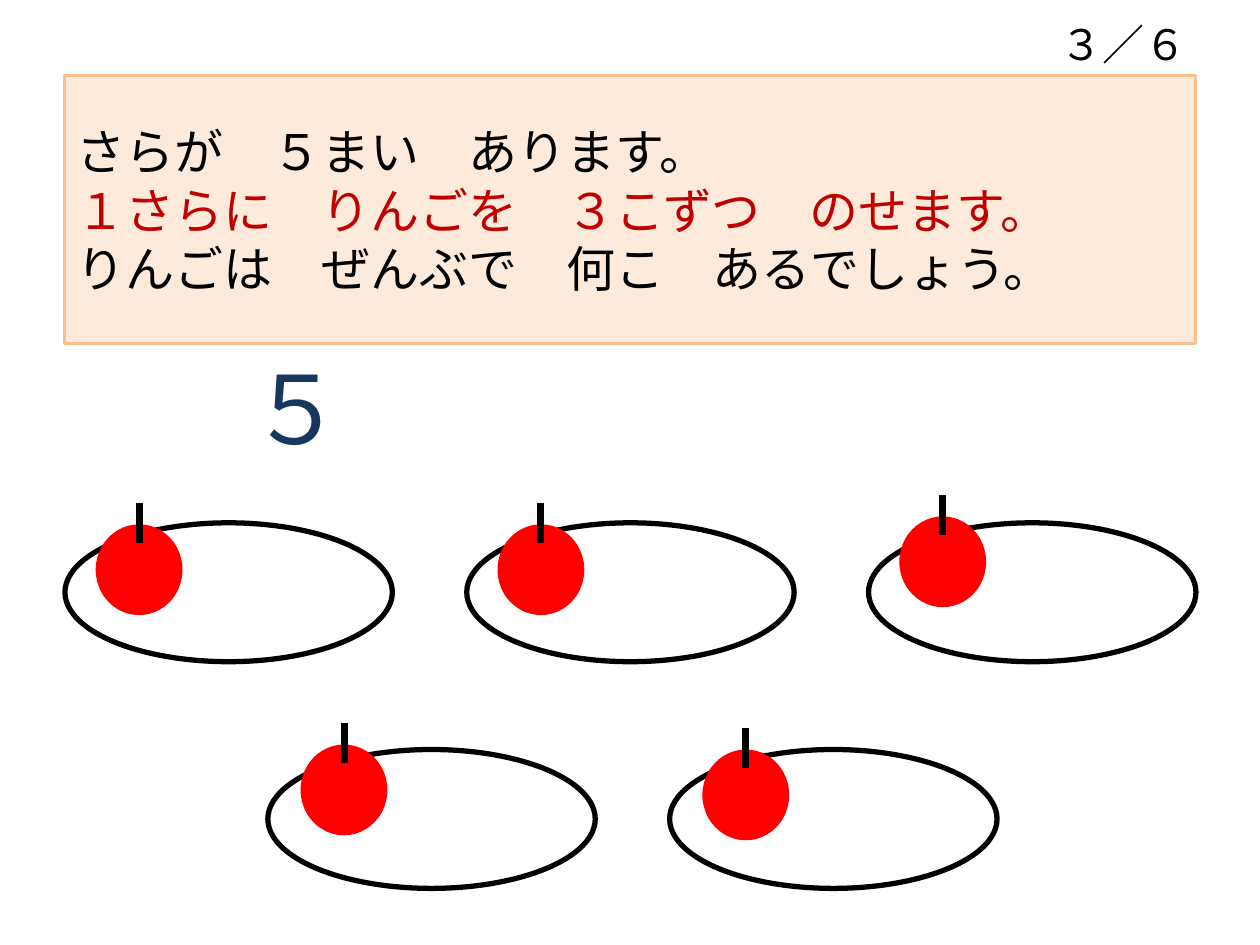
from dataclasses import dataclass

from lxml.etree import SubElement
from pptx import Presentation
from pptx.dml.color import RGBColor
from pptx.enum.lang import MSO_LANGUAGE_ID as Lang
from pptx.enum.shapes import MSO_CONNECTOR as Conn, MSO_SHAPE as Shape
from pptx.enum.text import MSO_ANCHOR as Anchor, MSO_AUTO_SIZE as AutoSize, PP_ALIGN as Align
from pptx.oxml.ns import qn
from pptx.util import Cm, Pt

FONT = "Noto Sans CJK JP"
COLORS = {
    "black": "000000",
    "white": "FFFFFF",
    "cream": "FDEADA",
    "orange": "FAC090",
    "crimson": "C00000",
    "navy": "17375E",
    "apple": "FF0000",
}

# Sizes and spacing in centimetres
PLATE_W, PLATE_H, PLATE_PITCH = 6.6, 2.8, 8.1
APPLE_W, APPLE_H = 1.75, 1.83
STEM_ABOVE, STEM_BELOW = 0.43, 0.38


@dataclass
class PlateRow:
    left: float
    top: float
    apple_dx: float
    apple_tops: tuple[float, ...]


ROWS = [
    PlateRow(1.31, 10.54, 0.62, (10.57, 10.57, 10.41)),
    PlateRow(5.4, 15.11, 0.66, (15.01, 15.11)),
]

PROBLEM = [
    ("さらが　５まい　あります。", "black"),
    ("１さらに　りんごを　３こずつ　のせます。", "crimson"),
    ("りんごは　ぜんぶで　何こ　あるでしょう。", "black"),
]


def rgb(name: str) -> RGBColor:
    return RGBColor.from_string(COLORS[name])


def add_run(p, text: str, size: float, color: str) -> None:
    r = p.add_run()
    r.text = text
    r.font.size = Pt(size)
    r.font.color.rgb = rgb(color)
    r.font.name = FONT
    r.font.language_id = Lang.JAPANESE
    # Japanese characters use the East Asian typeface
    SubElement(r.font._element, qn("a:ea")).set("typeface", FONT)


def add_label(shapes, box: tuple[float, ...], text: str, size: float,
              color: str, align: Align) -> None:
    tf = shapes.add_textbox(*map(Cm, box)).text_frame
    tf.word_wrap = False
    tf.auto_size = AutoSize.SHAPE_TO_FIT_TEXT
    p = tf.paragraphs[0]
    p.alignment = align
    add_run(p, text, size, color)


def add_filled(shapes, kind: Shape, box: tuple[float, ...], fill: str,
               line: str | None = None, width: float = 0):
    sp = shapes.add_shape(kind, *map(Cm, box))
    sp.shadow.inherit = False
    sp.fill.solid()
    sp.fill.fore_color.rgb = rgb(fill)
    if line:
        sp.line.color.rgb = rgb(line)
        sp.line.width = Pt(width)
    else:
        sp.line.fill.background()
    return sp


def add_apple(shapes, left: float, top: float) -> None:
    group = shapes.add_group_shape().shapes
    add_filled(group, Shape.OVAL, (left, top, APPLE_W, APPLE_H), "apple")
    x = left + APPLE_W / 2
    stem = group.add_connector(
        Conn.STRAIGHT, Cm(x), Cm(top - STEM_ABOVE), Cm(x), Cm(top + STEM_BELOW))
    stem.line.color.rgb = rgb("black")
    stem.line.width = Pt(4)
    SubElement(stem._element.spPr, qn("a:effectLst"))


def add_problem(shapes) -> None:
    sp = add_filled(shapes, Shape.RECTANGLE, (1.3, 1.52, 22.8, 5.41), "cream", "orange", 2)
    tf = sp.text_frame
    tf.word_wrap = True
    tf.vertical_anchor = Anchor.MIDDLE
    for i, (text, color) in enumerate(PROBLEM):
        p = tf.add_paragraph() if i else tf.paragraphs[0]
        p.alignment = Align.LEFT
        add_run(p, text, 28, color)


def main() -> None:
    prs = Presentation()
    prs.slide_width, prs.slide_height = Cm(25.4), Cm(19.05)
    s = prs.slides.add_slide(prs.slide_layouts[6])

    # Page count and word problem
    add_label(s.shapes, (21.1, 0.25, 3.07, 1.27), "３／６", 24, "black", Align.RIGHT)
    add_problem(s.shapes)

    # Plates, each with one apple
    for row in ROWS:
        for i, apple_top in enumerate(row.apple_tops):
            left = row.left + i * PLATE_PITCH
            add_filled(s.shapes, Shape.OVAL, (left, row.top, PLATE_W, PLATE_H),
                       "white", "black", 3)
            add_apple(s.shapes, left + row.apple_dx, apple_top)

    # Number of plates
    add_label(s.shapes, (4.78, 6.93, 2.44, 2.57), "５", 54, "navy", Align.LEFT)

    prs.save("out.pptx")


if __name__ == "__main__":
    main()
